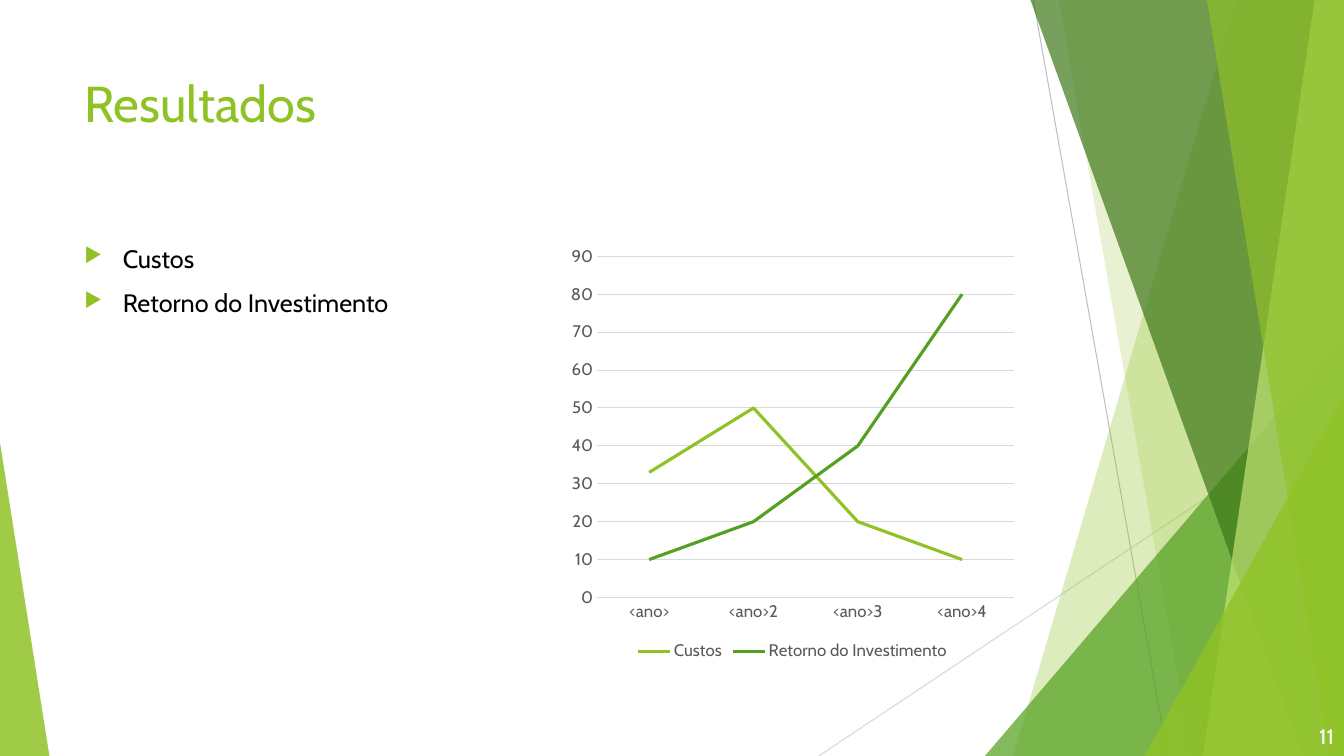
import pptx
import pptx.chart.data
import pptx.dml.color
import pptx.enum.chart
import pptx.enum.shapes
import pptx.enum.text
import pptx.oxml
import pptx.oxml.ns
import pptx.util
import lxml.etree

HUES = {"lime": "90C226", "green": "54A021", "dark": "3F7819", "pale": "C0E474",
        "grid": "D9D9D9", "rule": "BFBFBF", "gray": "595959",
        "black": "000000", "white": "FFFFFF"}
FONT = "Cabin"
WIDE, HIGH = pptx.util.Inches(13.333), pptx.util.Inches(7.5)
QN = pptx.oxml.ns.qn

# Boxes as left, top, width, height, in percent of the slide
FULL = (0, 0, 100, 100)
TITLE = (5.55, 8.93, 70.52, 19.2)
LIST = (5.55, 31.47, 34.36, 56.53)
CHART = (41.79, 31.47, 34.36, 56.53)
PAGE = (94.45, 94.67, 5.55, 5.33)

# Shards: colour, opacity, corners in percent of their box
SHARDS = [
    ("lime", 30, [(91.97, 0), (75.39, 100), (100, 100), (100, 0)]),
    ("lime", 20, [(78.77, 0), (88.67, 100), (100, 100), (100, 0)]),
    ("green", 72, [(73.29, 100), (100, 44.4), (100, 100)]),
    ("dark", 70, [(76.67, 0), (96.92, 100), (100, 100), (100, 0)]),
    ("pale", 70, [(97.82, 0), (89.5, 100), (100, 100), (100, 0)]),
    ("lime", 65, [(89.8, 0), (98.95, 100), (100, 100), (100, 0)]),
    ("lime", 80, [(85.15, 100), (100, 52.4), (100, 100)]),
    ("lime", 85, [(0, 58.53), (3.68, 100), (0, 100)]),
]
RULES = [("grid", (60.92, 100), (100, 53.73)),
         ("rule", (76.89, 0), (86.87, 100))]


def hue(name):
    return pptx.dml.color.RGBColor.from_string(HUES[name])


def spot(box, point):
    """Turn a point in percent of a box into slide lengths."""
    left, top, width, height = box
    return (int(WIDE * (left + width * point[0] / 100) / 100),
            int(HIGH * (top + height * point[1] / 100) / 100))


def frame(box):
    left, top = spot(box, (0, 0))
    right, base = spot(box, (100, 100))
    return left, top, right - left, base - top


def style(font, size, color):
    font.name, font.size = FONT, pptx.util.Pt(size)
    font.color.rgb = hue(color)


def stroke(line, color, width):
    line.color.rgb = hue(color)
    line.width = pptx.util.Pt(width)


def write(slide, box, text, size=18, color="black", align="LEFT",
          anchor="TOP", bullet=None, before=0):
    area = slide.shapes.add_textbox(*frame(box)).text_frame
    area.word_wrap = True
    area.vertical_anchor = getattr(pptx.enum.text.MSO_ANCHOR, anchor)
    area.text = text
    for para in area.paragraphs:
        para.alignment = getattr(pptx.enum.text.PP_ALIGN, align)
        para.space_before = pptx.util.Pt(before)
        for run in para.runs:
            style(run.font, size, color)
        if bullet:
            mark(para, bullet)


def mark(para, color):
    """Give a paragraph a hanging triangle bullet."""
    props = para._p.get_or_add_pPr()
    indent = pptx.util.Inches(0.38)
    props.set("marL", str(indent))
    props.set("indent", str(-indent))
    tint = lxml.etree.SubElement(props, QN("a:buClr"))
    lxml.etree.SubElement(tint, QN("a:srgbClr"), val=HUES[color])
    lxml.etree.SubElement(props, QN("a:buSzPct"), val="80000")
    lxml.etree.SubElement(props, QN("a:buChar"), char="▶")


def decor(slide, box):
    # Thin rules
    for color, start, end in RULES:
        line = slide.shapes.add_connector(
            pptx.enum.shapes.MSO_CONNECTOR.STRAIGHT,
            *spot(box, start), *spot(box, end))
        stroke(line.line, color, 0.75)
        lxml.etree.SubElement(line._element.spPr, QN("a:effectLst"))
    # Translucent shards
    for color, alpha, points in SHARDS:
        first, *rest = [spot(box, point) for point in points]
        path = slide.shapes.build_freeform(*first)
        path.add_line_segments(rest, close=True)
        shard = path.convert_to_shape()
        shard.shadow.inherit = False
        shard.line.fill.background()
        shard.fill.solid()
        shard.fill.fore_color.rgb = hue(color)
        tint = shard._element.spPr.find(".//" + QN("a:srgbClr"))
        lxml.etree.SubElement(tint, QN("a:alpha"), val=str(alpha * 1000))


def graph(slide, box):
    kinds = pptx.enum.chart
    data = pptx.chart.data.CategoryChartData()
    data.categories = ["<ano>", "<ano>2", "<ano>3", "<ano>4"]
    data.add_series("Custos", (33, 50, 20, 10))
    data.add_series("Retorno do Investimento", (10, 20, 40, 80))
    chart = slide.shapes.add_chart(
        kinds.XL_CHART_TYPE.LINE, *frame(box), data).chart
    style(chart.font, 10, "black")
    chart.has_title = False
    # Legend
    chart.has_legend = True
    chart.legend.position = kinds.XL_LEGEND_POSITION.BOTTOM
    chart.legend.include_in_layout = False
    style(chart.legend.font, 12, "gray")
    # Axes
    for axis in (chart.category_axis, chart.value_axis):
        axis.major_tick_mark = kinds.XL_TICK_MARK.NONE
        axis.minor_tick_mark = kinds.XL_TICK_MARK.NONE
        style(axis.tick_labels.font, 12, "gray")
    stroke(chart.category_axis.format.line, "grid", 0.75)
    chart.value_axis.format.line.fill.background()
    stroke(chart.value_axis.major_gridlines.format.line, "grid", 0.75)
    # Lines
    plot = chart.plots[0]
    plot.vary_by_categories = False
    for series, color in zip(plot.series, ("lime", "green")):
        series.smooth = False
        series.marker.style = kinds.XL_MARKER_STYLE.NONE
        stroke(series.format.line, color, 2.25)


def main():
    deck = pptx.Presentation()
    deck.slide_width, deck.slide_height = WIDE, HIGH
    slide = deck.slides.add_slide(deck.slide_layouts[6])
    decor(slide, FULL)
    write(slide, TITLE, "Resultados", size=36, color="lime")
    write(slide, LIST, "Custos\nRetorno do Investimento",
          bullet="lime", before=10)
    graph(slide, CHART)
    write(slide, PAGE, "11", size=15, color="white", align="RIGHT",
          anchor="MIDDLE")
    deck.save("out.pptx")


if __name__ == "__main__":
    main()
